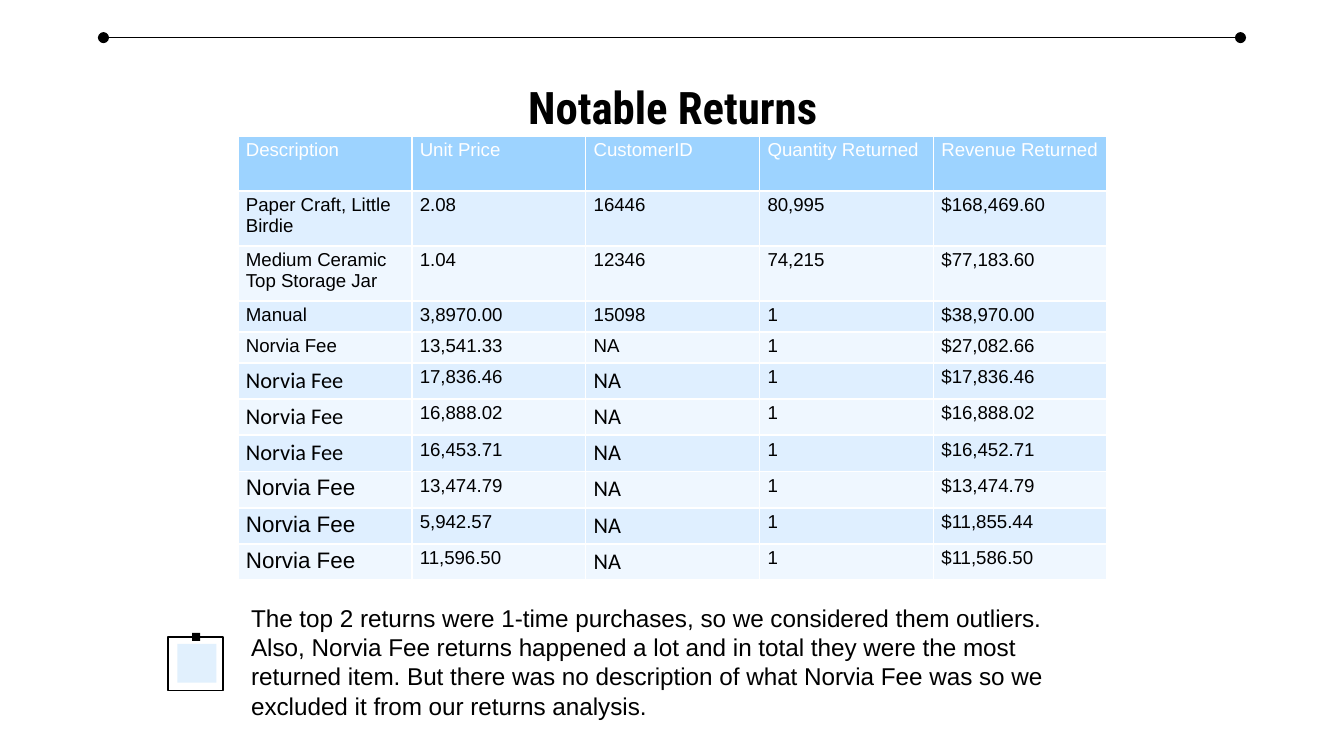
"""Build the Notable Returns slide with its table and closing remark."""
from dataclasses import dataclass
from typing import Any, NamedTuple, Optional

import pptx
import pptx.dml.color
import pptx.enum.shapes
import pptx.enum.text
import pptx.oxml
import pptx.oxml.ns
import pptx.util

Inches = pptx.util.Inches
Pt = pptx.util.Pt

COLORS = {
    "black": "000000",
    "white": "FFFFFF",
    "header": "9DD3FF",
    "odd_row": "DFEFFF",
    "even_row": "EFF7FF",
    "badge": "E1F0FD",
}
SMALL = {"name": "Arial", "size": Pt(10), "bold": False}
LARGE = {"name": "Arial", "size": Pt(12), "bold": False}
CALIBRI = {"name": "Calibri", "size": Pt(12), "bold": False}
TITLE = {"name": "Roboto Condensed", "size": Pt(24), "bold": True}
REMARK = {"name": "Arial", "size": Pt(13), "bold": False}
CELL_MARGINS = {
    "margin_left": Inches(0.06),
    "margin_right": Inches(0.06),
    "margin_top": Inches(0.03),
    "margin_bottom": Inches(0.03),
}
TITLE_MARGINS = {
    "margin_left": Inches(0.1),
    "margin_right": Inches(0.1),
    "margin_top": Inches(0.1),
    "margin_bottom": Inches(0.1),
}


class Box(NamedTuple):
    left: float
    top: float
    width: float
    height: float

    def emu(self) -> list[int]:
        return [Inches(v) for v in self]


@dataclass
class Row:
    texts: tuple[str, ...]
    height: float
    item_font: dict[str, Any]
    customer_font: dict[str, Any]


@dataclass
class Square:
    box: Box
    fill: Optional[str] = None
    line: Optional[str] = None


def plain_row(height: float, *texts: str) -> Row:
    return Row(texts, height, SMALL, SMALL)


def fee_row(item_font: dict[str, Any], price: str, revenue: str) -> Row:
    return Row(("Norvia Fee", price, "NA", "1", revenue), 0.27, item_font, CALIBRI)


ROWS = [
    plain_row(0.41, "Description", "Unit Price", "CustomerID",
              "Quantity Returned", "Revenue Returned"),
    plain_row(0.41, "Paper Craft, Little Birdie", "2.08", "16446", "80,995", "$168,469.60"),
    plain_row(0.41, "Medium Ceramic Top Storage Jar", "1.04", "12346", "74,215", "$77,183.60"),
    plain_row(0.23, "Manual", "3,8970.00", "15098", "1", "$38,970.00"),
    plain_row(0.23, "Norvia Fee", "13,541.33", "NA", "1", "$27,082.66"),
    fee_row(CALIBRI, "17,836.46", "$17,836.46"),
    fee_row(CALIBRI, "16,888.02", "$16,888.02"),
    fee_row(CALIBRI, "16,453.71", "$16,452.71"),
    fee_row(LARGE, "13,474.79", "$13,474.79"),
    fee_row(LARGE, "5,942.57", "$11,855.44"),
    fee_row(LARGE, "11,596.50", "$11,586.50"),
]
BADGE = [
    Square(Box(1.25, 4.74, 0.41, 0.4), line="black"),
    Square(Box(1.43, 4.71, 0.06, 0.06), fill="black"),
    Square(Box(1.32, 4.79, 0.29, 0.29), fill="badge"),
]
REMARK_TEXT = (
    "The top 2 returns were 1-time purchases, so we considered them outliers. "
    "Also, Norvia Fee returns happened a lot and in total they were the most "
    "returned item. But there was no description of what Norvia Fee was so we "
    "excluded it from our returns analysis."
)


def rgb(color: str) -> pptx.dml.color.RGBColor:
    return pptx.dml.color.RGBColor.from_string(COLORS[color])


def set_all(target: Any, values: dict[str, Any]) -> None:
    for name, value in values.items():
        setattr(target, name, value)


def write(tf: Any, text: str, font: dict[str, Any], color: str = "black") -> None:
    r = tf.paragraphs[0].add_run()
    r.text = text
    set_all(r.font, font)
    r.font.color.rgb = rgb(color)


def add_text(s: Any, box: Box, text: str, font: dict[str, Any], **frame: Any) -> Any:
    tf = s.shapes.add_textbox(*box.emu()).text_frame
    set_all(tf, {"word_wrap": True, **frame})
    write(tf, text, font)
    return tf


def add_rule(s: Any, left: float, right: float, y: float) -> None:
    rule = s.shapes.add_connector(
        pptx.enum.shapes.MSO_CONNECTOR.STRAIGHT,
        Inches(left), Inches(y), Inches(right), Inches(y))
    rule.line.width = Pt(0.75)
    rule.line.color.rgb = rgb("black")
    ln = rule.line._get_or_add_ln()
    for end in ("headEnd", "tailEnd"):
        ln.append(pptx.oxml.parse_xml(
            f'<a:{end} {pptx.oxml.ns.nsdecls("a")} type="oval"/>'))
    rule._element.spPr.append(pptx.oxml.parse_xml(
        f'<a:effectLst {pptx.oxml.ns.nsdecls("a")}/>'))


def set_borders(cell: Any) -> None:
    tcPr = cell._tc.get_or_add_tcPr()
    for i, side in enumerate("LRTB"):
        tcPr.insert(i, pptx.oxml.parse_xml(
            f'<a:ln{side} {pptx.oxml.ns.nsdecls("a")} w="{Pt(1)}"><a:solidFill>'
            f'<a:srgbClr val="{COLORS["white"]}"/></a:solidFill></a:ln{side}>'))


def add_returns_table(s: Any, box: Box, rows: list[Row]) -> None:
    columns = len(rows[0].texts)
    table = s.shapes.add_table(len(rows), columns, *box.emu()).table
    set_all(table, {"first_row": False, "horz_banding": False})
    for i, row in enumerate(rows):
        table.rows[i].height = Inches(row.height)
        fill = "header" if i == 0 else "odd_row" if i % 2 else "even_row"
        fonts = [row.item_font, SMALL, row.customer_font, SMALL, SMALL]
        for j, (text, font) in enumerate(zip(row.texts, fonts)):
            cell = table.cell(i, j)
            set_all(cell, CELL_MARGINS)
            cell.fill.solid()
            cell.fill.fore_color.rgb = rgb(fill)
            set_borders(cell)
            write(cell.text_frame, text, font, "black" if i else "white")


def add_square(group: Any, square: Square) -> None:
    sp = group.shapes.add_shape(
        pptx.enum.shapes.MSO_SHAPE.RECTANGLE, *square.box.emu())
    sp.shadow.inherit = False
    if square.fill:
        sp.fill.solid()
        sp.fill.fore_color.rgb = rgb(square.fill)
    else:
        sp.fill.background()
    if square.line:
        sp.line.width = Pt(0.75)
        sp.line.color.rgb = rgb(square.line)
    else:
        sp.line.fill.background()


def main() -> None:
    prs = pptx.Presentation()
    width = Inches(10)
    set_all(prs, {"slide_width": width, "slide_height": width * 9 // 16})
    s = prs.slides.add_slide(prs.slide_layouts[6])
    tf = add_text(s, Box(0.79, 0.49, 8.43, 0.63), "Notable Returns", TITLE, **TITLE_MARGINS)
    tf.paragraphs[0].alignment = pptx.enum.text.PP_ALIGN.CENTER
    add_rule(s, 0.77, 9.23, 0.28)
    add_returns_table(s, Box(1.77, 1.01, 6.47, 3.28), ROWS)
    add_text(s, Box(1.77, 4.44, 6.47, 1.19), REMARK_TEXT, REMARK)
    group = s.shapes.add_group_shape()
    for square in BADGE:
        add_square(group, square)
    prs.save("out.pptx")


if __name__ == "__main__":
    main()
